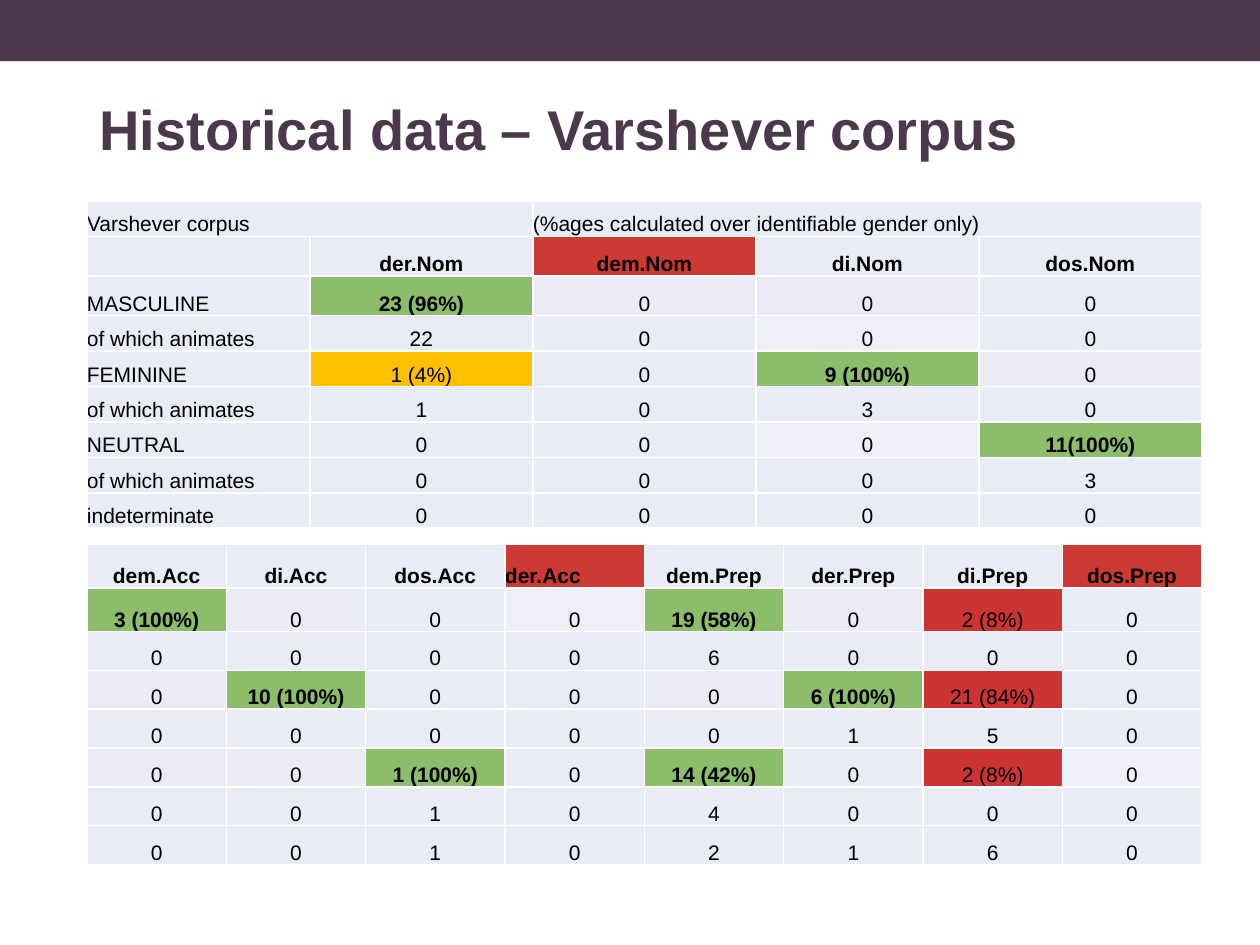
from dataclasses import dataclass
from lxml import etree
from pptx import Presentation
from pptx.dml.color import RGBColor
from pptx.enum.shapes import MSO_SHAPE
from pptx.enum.text import MSO_ANCHOR, MSO_AUTO_SIZE, PP_ALIGN
from pptx.oxml.ns import qn
from pptx.util import Pt

RECT = MSO_SHAPE.RECTANGLE
TOP, BOTTOM = MSO_ANCHOR.TOP, MSO_ANCHOR.BOTTOM
LEFT, CENTER = PP_ALIGN.LEFT, PP_ALIGN.CENTER
NO_FIT = MSO_AUTO_SIZE.NONE


@dataclass(frozen=True)
class Theme:
    font: str = "Arial"
    plum: str = "4B384C"
    text: str = "000000"
    border: str = "FFFFFF"
    title_size: int = 32
    cell_size: int = 12
    fills = {
        "plain": ("E9EBF5", 100),
        "tint": ("EAEBF5", 100),
        "faint": ("EAEBF5", 80),
        "green": ("70AD47", 80),
        "amber": ("FFC000", 100),
        "header red": ("CD3A34", 100),
        "red": ("C00000", 80),
    }


THEME = Theme()
TABLE_LEFT, TABLE_WIDTH = 49.7, 637.2

NOMINATIVE = """Varshever corpus||(%ages calculated over identifiable gender only)||
|der.Nom|dem.Nom|di.Nom|dos.Nom
MASCULINE|23 (96%)|0|0|0
of which animates|22|0|0|0
FEMININE|1 (4%)|0|9 (100%)|0
of which animates|1|0|3|0
NEUTRAL|0|0|0|11(100%)
of which animates|0|0|0|3
indeterminate|0|0|0|0"""
NOMINATIVE_MARKS = {
    "green": [(2, 1), (4, 3), (6, 4)],
    "amber": [(4, 1)],
    "header red": [(1, 2)],
    "tint": [(2, 2), (2, 3), (4, 4)],
    "faint": [(3, 3), (6, 3)],
}

OBLIQUE = """dem.Acc|di.Acc|dos.Acc|der.Acc|dem.Prep|der.Prep|di.Prep|dos.Prep
3 (100%)|0|0|0|19 (58%)|0|2 (8%)|0
0|0|0|0|6|0|0|0
0|10 (100%)|0|0|0|6 (100%)|21 (84%)|0
0|0|0|0|0|1|5|0
0|0|1 (100%)|0|14 (42%)|0|2 (8%)|0
0|0|1|0|4|0|0|0
0|0|1|0|2|1|6|0"""
OBLIQUE_MARKS = {
    "green": [(1, 0), (1, 4), (3, 1), (3, 5), (5, 2), (5, 4)],
    "header red": [(0, 3), (0, 7)],
    "red": [(1, 6), (3, 6), (5, 6)],
    "tint": [(1, 1), (1, 5), (3, 0), (3, 4), (5, 0), (5, 1)],
    "faint": [(1, 3), (5, 7)],
}


def set_all(obj, values):
    for name, value in values.items():
        setattr(obj, name, value)


def add_run(p, text, size, color, bold):
    r = p.add_run()
    r.text = text
    set_all(r.font, {"name": THEME.font, "size": Pt(size), "bold": bold})
    r.font.color.rgb = RGBColor.from_string(color)


def add_bar(s, width, height):
    sp = s.shapes.add_shape(RECT, 0, 0, width, height)
    sp.shadow.inherit = False
    sp.fill.solid()
    sp.fill.fore_color.rgb = RGBColor.from_string(THEME.plum)
    sp.line.fill.background()


def set_title(s, text):
    sp = s.shapes.title
    set_all(sp, {"left": Pt(49.7), "top": Pt(54.7),
                 "width": Pt(620.6), "height": Pt(71.3)})
    tf = sp.text_frame
    set_all(tf, {"vertical_anchor": TOP, "word_wrap": True, "auto_size": NO_FIT})
    p = tf.paragraphs[0]
    set_all(p, {"alignment": LEFT, "line_spacing": 0.9})
    add_run(p, text, THEME.title_size, THEME.plum, True)


def style_cell(cell, kind):
    set_all(cell, {"vertical_anchor": BOTTOM, "margin_left": 0, "margin_right": 0,
                   "margin_top": 0, "margin_bottom": 0})
    tcPr = cell._tc.get_or_add_tcPr()
    for side in ("a:lnL", "a:lnR", "a:lnT", "a:lnB"):
        ln = etree.SubElement(tcPr, qn(side), w=str(Pt(1)))
        fill = etree.SubElement(ln, qn("a:solidFill"))
        etree.SubElement(fill, qn("a:srgbClr"), val=THEME.border)
    color, opacity = THEME.fills[kind]
    cell.fill.solid()
    cell.fill.fore_color.rgb = RGBColor.from_string(color)
    if opacity < 100:
        clr = tcPr.find(qn("a:solidFill"))[0]
        etree.SubElement(clr, qn("a:alpha"), val=str(opacity * 1000))


def add_table(s, top, data, heights, marks, header_row, left_cells, merges=()):
    rows = [line.split("|") for line in data.splitlines()]
    n = len(rows[0])
    frame = s.shapes.add_table(len(rows), n, Pt(TABLE_LEFT), Pt(top),
                               Pt(TABLE_WIDTH), Pt(sum(heights)))
    table = frame.table
    set_all(table, {"first_row": False, "horz_banding": False})
    for col in table.columns:
        col.width = Pt(TABLE_WIDTH / n)
    for row, height in zip(table.rows, heights):
        row.height = Pt(height)
    kinds = {at: kind for kind, cells in marks.items() for at in cells}
    for i, row in enumerate(rows):
        for j, text in enumerate(row):
            kind = kinds.get((i, j), "plain")
            cell = table.cell(i, j)
            style_cell(cell, kind)
            p = cell.text_frame.paragraphs[0]
            p.alignment = LEFT if (i, j) in left_cells else CENTER
            if text:
                bold = i == header_row or kind == "green"
                add_run(p, text, THEME.cell_size, THEME.text, bold)
    for first, last in merges:
        table.cell(*first).merge(table.cell(*last))


def main():
    prs = Presentation()
    set_all(prs, {"slide_width": Pt(720), "slide_height": Pt(540)})
    s = prs.slides.add_slide(prs.slide_layouts[5])
    add_bar(s, prs.slide_width, Pt(35))
    set_title(s, "Historical data – Varshever corpus")
    add_table(s, 114.8, NOMINATIVE, [20.25] + [22.7] * 2 + [20.25] * 6,
              NOMINATIVE_MARKS, 1, [(i, 0) for i in range(9)] + [(0, 2)],
              [((0, 0), (0, 1)), ((0, 2), (0, 4))])
    add_table(s, 311.1, OBLIQUE, [24.9] * 2 + [22.2] * 6,
              OBLIQUE_MARKS, 0, [(0, 3)])
    prs.save("out.pptx")


if __name__ == "__main__":
    main()
